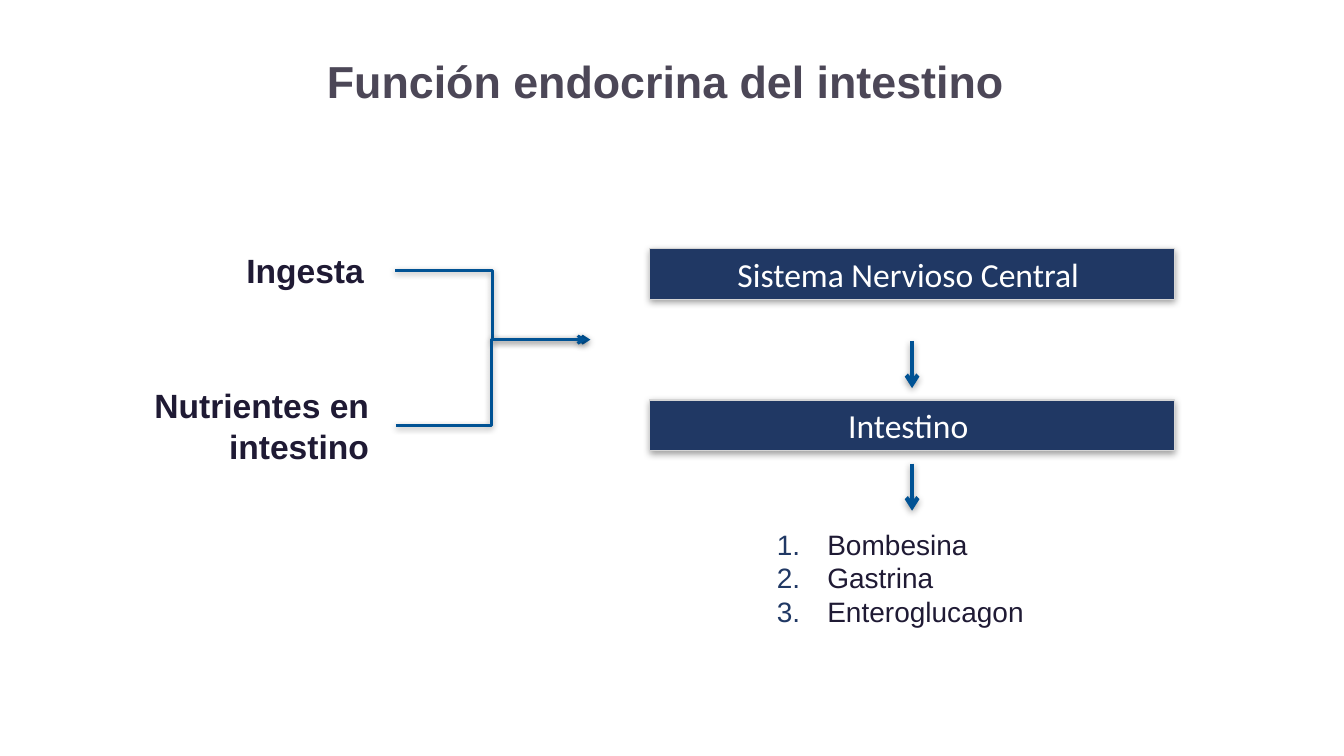
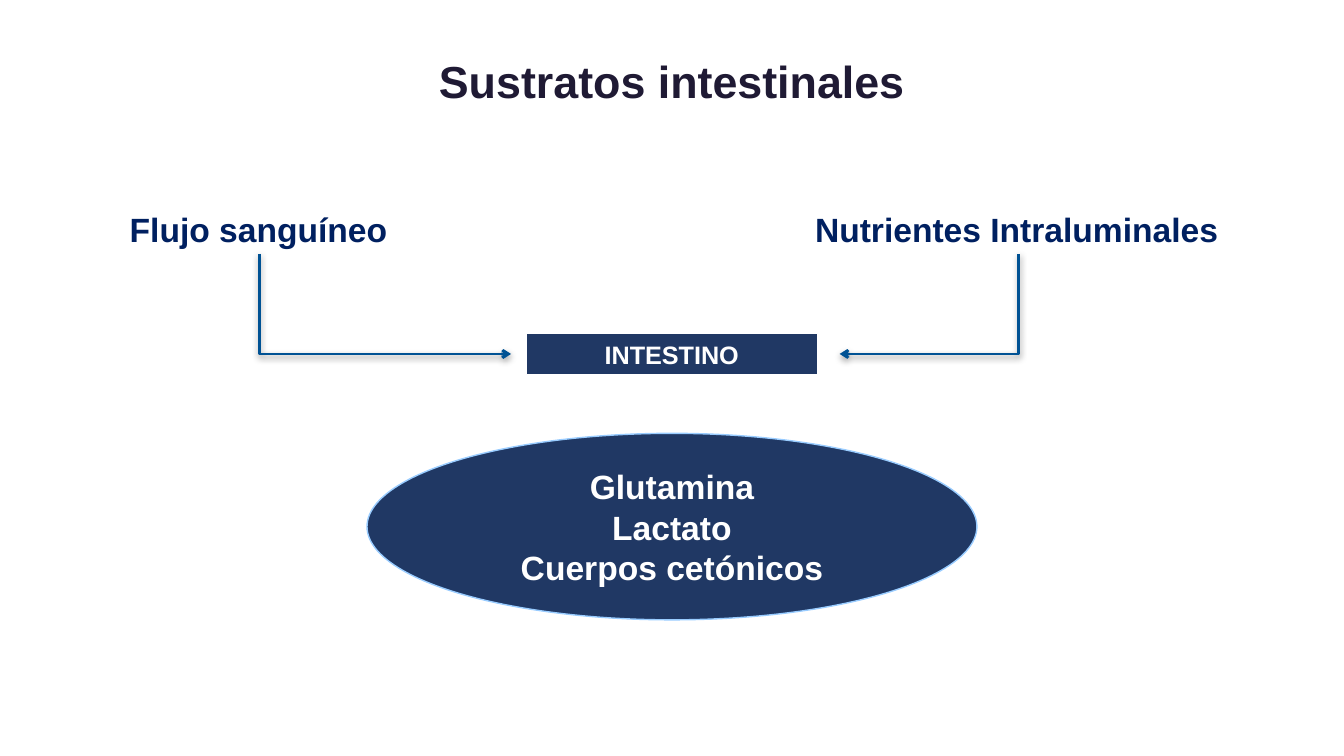
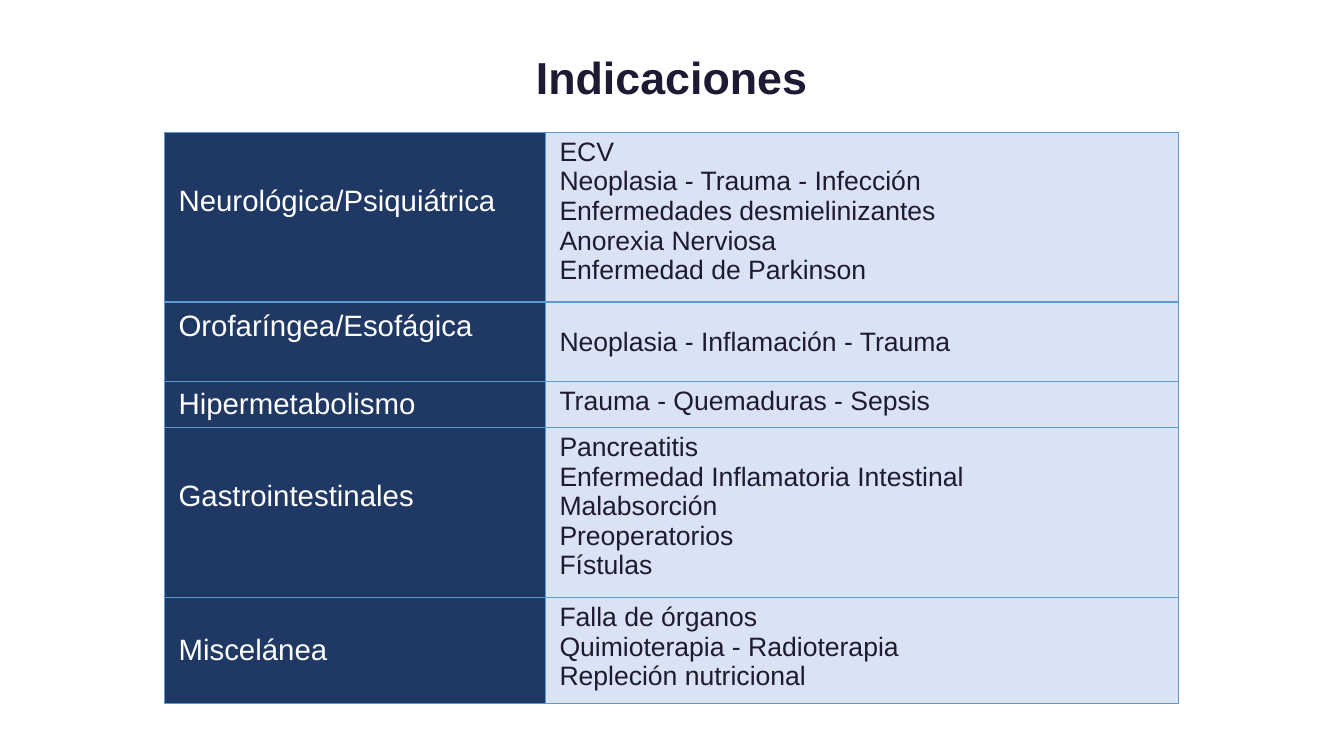
"""Build three slides on the gut: endocrine function, substrates and indications."""
import pptx
import pptx.dml.color
import pptx.enum.shapes
import pptx.enum.text
import pptx.oxml
import pptx.oxml.ns
import pptx.util

Cm = pptx.util.Cm
Pt = pptx.util.Pt
SHAPES = pptx.enum.shapes.MSO_SHAPE
CONNECTORS = pptx.enum.shapes.MSO_CONNECTOR
ALIGN = pptx.enum.text.PP_ALIGN
ANCHOR = pptx.enum.text.MSO_ANCHOR


class Theme:
    """Colours, fonts and type sizes of the deck."""
    navy, ink, heading, muted = "203864", "1F1A34", "002060", "4C4757"
    white, pale, arrow = "FFFFFF", "DAE3F3", "005294"
    box_line, oval_line, grid = "D5D5D5", "99CCFF", "5B9BD5"
    font, box_font = "Arial", "Calibri"
    title, label, group, items, detail, small = 32, 24, 21, 20, 19, 18


SLIDE = (33.87, 19.05)
WIDE_TITLE = (0, 0.53, 33.87, 3.18)
NARROW_TITLE = (2.54, 0.71, 28.78, 2.59)

STIMULI = [
    ("Ingesta", (0.48, 6.17, 8.94, 1.3)),
    ("Nutrientes en intestino", (0.48, 9.58, 9.07, 2.31)),
]
STIMULUS_ARROWS = [(9.96, 6.81, 14.88, 8.56), (9.98, 10.72, 14.78, 8.56)]
STAGES = ["Sistema Nervioso Central ", "Intestino "]
STAGE_AREA, STAGE_STEP = (16.38, 6.27, 13.21, 1.27), 3.81
STAGE_ARROW_TOPS, STAGE_ARROW_LENGTH = (8.59, 11.68), 1.19
HORMONES = ["Bombesina", "Gastrina", "Enteroglucagon"]
HORMONE_AREA, HORMONE_INDENT = (19.33, 13.16, 7.34, 2.82), 1.27

SOURCES = [
    ("Flujo sanguíneo", (3.02, 5.13, 7.06, 1.27), 12.88),
    ("Nutrientes Intraluminales", (20.29, 5.13, 10.77, 1.27), 21.16),
]
GUT_AREA = (13.26, 8.41, 7.34, 1.02)
SUBSTRATES = ["Glutamina", "Lactato", "Cuerpos cetónicos"]
SUBSTRATE_AREA = (9.25, 10.92, 15.37, 4.7)

TABLE_CORNER, COLUMNS = (4.14, 3.33), (9.6, 15.95)
SIDE_INSET, EDGE_INSET, RAISED_INSET = 0.36, 0.13, 0.94
INDICATIONS = [
    ("Neurológica/Psiquiátrica", 4.19, RAISED_INSET, ANCHOR.TOP,
     ["ECV", "Neoplasia - Trauma - Infección", "Enfermedades desmielinizantes",
      "Anorexia Nerviosa", "Enfermedad de Parkinson"]),
    ("Orofaríngea/Esofágica", 2.01, RAISED_INSET, ANCHOR.MIDDLE,
     ["Neoplasia - Inflamación - Trauma"]),
    ("Hipermetabolismo", 1.14, EDGE_INSET, ANCHOR.TOP,
     ["Trauma - Quemaduras - Sepsis"]),
    ("Gastrointestinales", 4.19, RAISED_INSET, ANCHOR.TOP,
     ["Pancreatitis", "Enfermedad Inflamatoria Intestinal", "Malabsorción",
      "Preoperatorios", "Fístulas"]),
    ("Miscelánea", 2.62, EDGE_INSET, ANCHOR.TOP,
     ["Falla de órganos", "Quimioterapia - Radioterapia", "Repleción nutricional"]),
]


def rgb(value):
    return pptx.dml.color.RGBColor.from_string(value)


def lengths(values):
    return [Cm(value) for value in values]


def xml(tag, inner="", attributes=""):
    namespace = pptx.oxml.ns.nsdecls("a")
    return pptx.oxml.parse_xml(f"<a:{tag} {namespace} {attributes}>{inner}</a:{tag}>")


def write(frame, lines, size, color, bold=False, align=ALIGN.LEFT, font=Theme.font):
    frame.text = "\n".join(lines)
    for para in frame.paragraphs:
        para.alignment = align
        para.font.name, para.font.size, para.font.bold = font, Pt(size), bold
        para.font.color.rgb = rgb(color)


def add_text(page, area, lines, size, color, wrap=True, **style):
    frame = page.shapes.add_textbox(*lengths(area)).text_frame
    frame.word_wrap = wrap
    write(frame, lines, size, color, **style)
    return frame


def add_page(deck, title, area=WIDE_TITLE, color=Theme.ink):
    page = deck.slides.add_slide(deck.slide_layouts[6])
    frame = add_text(page, area, [title], Theme.title, color, bold=True, align=ALIGN.CENTER)
    frame.vertical_anchor = ANCHOR.MIDDLE
    frame.paragraphs[0].line_spacing = 0.9
    return page


def add_block(page, kind, area, lines, size, line, width, **style):
    block = page.shapes.add_shape(kind, *lengths(area))
    block.shadow.inherit = False
    block.fill.solid()
    block.fill.fore_color.rgb = rgb(Theme.navy)
    block.line.color.rgb = rgb(line)
    block.line.width = Pt(width)
    block.text_frame.word_wrap = True
    block.text_frame.vertical_anchor = ANCHOR.MIDDLE
    write(block.text_frame, lines, size, Theme.white, align=ALIGN.CENTER, **style)
    return block


def cast_shadow(shape, opacity=38, distance=1.6):
    properties = shape.element.spPr
    for old in properties.findall(pptx.oxml.ns.qn("a:effectLst")):
        properties.remove(old)
    properties.append(xml("effectLst", (
        f'<a:outerShdw blurRad="{Pt(5)}" dist="{Pt(distance)}" dir="5400000" rotWithShape="0">'
        f'<a:srgbClr val="000000"><a:alpha val="{opacity * 1000}"/></a:srgbClr></a:outerShdw>')))


def add_arrow(page, kind, ends, width=2, **shadow):
    arrow = page.shapes.add_connector(kind, *lengths(ends))
    arrow.line.color.rgb = rgb(Theme.arrow)
    arrow.line.width = Pt(width)
    arrow.line._get_or_add_ln().append(xml("tailEnd", attributes='type="arrow"'))
    cast_shadow(arrow, **shadow)
    return arrow


def add_corner_arrow(page, left, top, right, bottom):
    """Draw an arrow that goes down first and then across."""
    middle_x, middle_y = (left + right) / 2, (top + bottom) / 2
    half_drop, half_run = (bottom - top) / 2, abs(right - left) / 2
    arrow = add_arrow(page, CONNECTORS.ELBOW, (
        middle_x - half_drop, middle_y - half_run, middle_x + half_drop, middle_y + half_run))
    properties = arrow.element.spPr
    properties.find(pptx.oxml.ns.qn("a:prstGeom")).set("prst", "bentConnector2")
    if right > left:
        properties.xfrm.set("rot", "16200000")
        properties.xfrm.set("flipH", "1")
    else:
        properties.xfrm.set("rot", "5400000")


def number_lines(frame):
    for para in frame.paragraphs:
        properties = para._p.get_or_add_pPr()
        properties.set("marL", str(Cm(HORMONE_INDENT)))
        properties.set("indent", str(-Cm(HORMONE_INDENT)))
        marks = [xml("buClr", f'<a:srgbClr val="{Theme.navy}"/>'),
                 xml("buFont", attributes=f'typeface="{Theme.font}"'),
                 xml("buAutoNum", attributes='type="arabicPeriod"')]
        for position, mark in enumerate(marks):
            properties.insert(position, mark)


def fill_cell(cell, lines, size, color, fill, anchor, bottom=EDGE_INSET):
    cell.margin_left = cell.margin_right = Cm(SIDE_INSET)
    cell.margin_top, cell.margin_bottom = Cm(EDGE_INSET), Cm(bottom)
    cell.vertical_anchor = anchor
    cell.fill.solid()
    cell.fill.fore_color.rgb = rgb(fill)
    write(cell.text_frame, lines, size, color)
    border = f'<a:solidFill><a:srgbClr val="{Theme.grid}"/></a:solidFill>'
    for position, side in enumerate(("lnL", "lnR", "lnT", "lnB")):
        cell._tc.get_or_add_tcPr().insert(position, xml(side, border, f'w="{Pt(1)}"'))


def build_endocrine(deck):
    page = add_page(deck, "Función endocrina del intestino ", color=Theme.muted)
    for label, area in STIMULI:
        add_text(page, area, [label], Theme.label, Theme.ink, bold=True, align=ALIGN.RIGHT)
    for ends in STIMULUS_ARROWS:
        add_arrow(page, CONNECTORS.ELBOW, ends)
    left, top, width, height = STAGE_AREA
    for index, stage in enumerate(STAGES):
        area = (left, top + index * STAGE_STEP, width, height)
        cast_shadow(add_block(page, SHAPES.RECTANGLE, area, [stage], Theme.label,
                              Theme.box_line, 0.75, font=Theme.box_font))
    number_lines(add_text(page, HORMONE_AREA, HORMONES, Theme.items, Theme.ink))
    center = left + width / 2
    for start in STAGE_ARROW_TOPS:
        add_arrow(page, CONNECTORS.STRAIGHT, (center, start, center, start + STAGE_ARROW_LENGTH),
                  width=3, opacity=35, distance=1.8)


def build_substrates(deck):
    page = add_page(deck, "Sustratos intestinales")
    add_block(page, SHAPES.RECTANGLE, GUT_AREA, ["INTESTINO"], Theme.small,
              Theme.white, 0.5, bold=True)
    gut_middle = GUT_AREA[1] + GUT_AREA[3] / 2
    for label, area, target in SOURCES:
        left, top, width, height = area
        add_text(page, area, [label], Theme.label, Theme.heading, wrap=False, bold=True)
        add_corner_arrow(page, left + width / 2, top + height, target, gut_middle)
    add_block(page, SHAPES.FLOWCHART_CONNECTOR, SUBSTRATE_AREA, SUBSTRATES, Theme.label,
              Theme.oval_line, 1, bold=True)


def build_indications(deck):
    page = add_page(deck, "Indicaciones", NARROW_TITLE)
    heights = [row[1] for row in INDICATIONS]
    area = (*TABLE_CORNER, sum(COLUMNS), sum(heights))
    table = page.shapes.add_table(len(heights), len(COLUMNS), *lengths(area)).table
    table.first_row = table.horz_banding = False
    for column, width in zip(table.columns, COLUMNS):
        column.width = Cm(width)
    for index, (group, height, bottom, anchor, details) in enumerate(INDICATIONS):
        table.rows[index].height = Cm(height)
        fill_cell(table.cell(index, 0), [group], Theme.group, Theme.white, Theme.navy,
                  ANCHOR.MIDDLE, bottom)
        fill_cell(table.cell(index, 1), details, Theme.detail, Theme.ink, Theme.pale, anchor)


def main():
    deck = pptx.Presentation()
    deck.slide_width, deck.slide_height = lengths(SLIDE)
    build_endocrine(deck)
    build_substrates(deck)
    build_indications(deck)
    deck.save("out.pptx")


if __name__ == "__main__":
    main()
